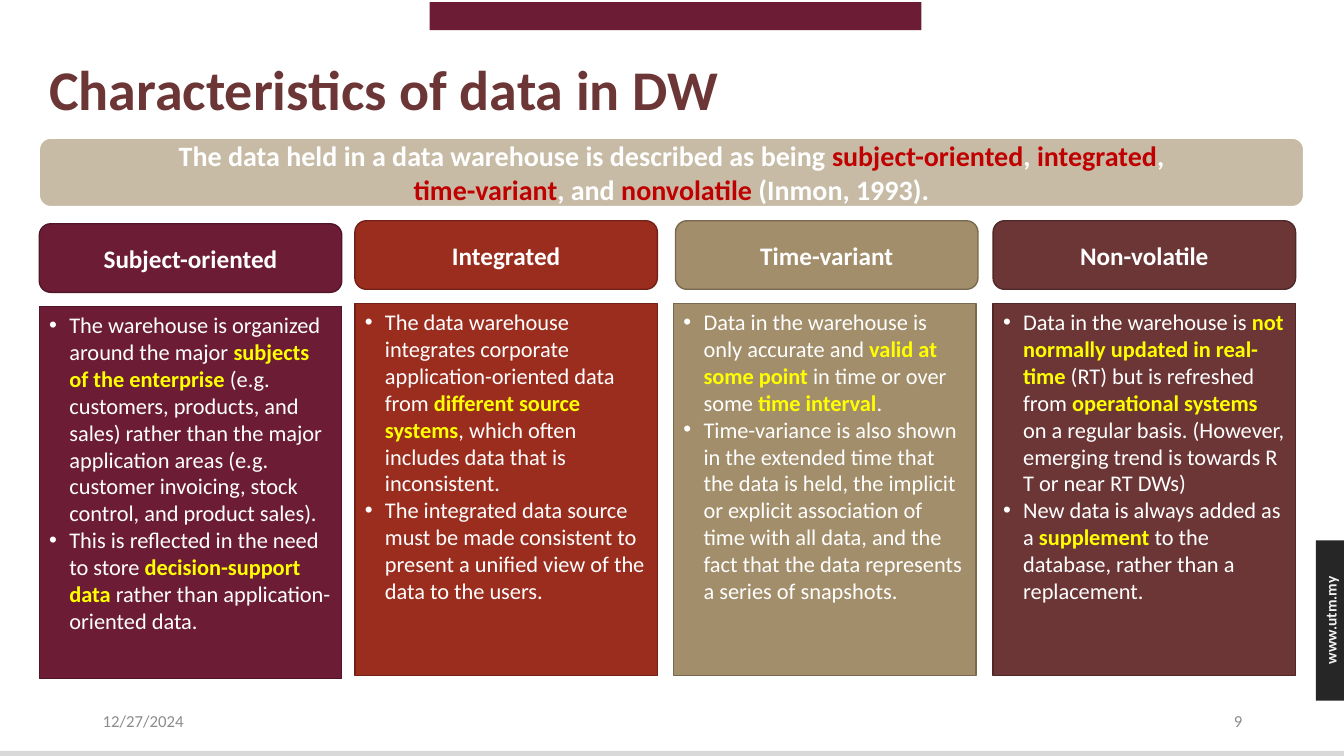
from lxml import etree
from pptx import Presentation
from pptx.dml.color import RGBColor
from pptx.enum.shapes import MSO_SHAPE
from pptx.enum.text import MSO_ANCHOR, PP_ALIGN
from pptx.oxml.ns import qn
from pptx.util import Inches, Pt

WHITE = RGBColor(0xFF, 0xFF, 0xFF)
YELLOW = RGBColor(0xFF, 0xFF, 0x00)
RED = RGBColor(0xC0, 0x00, 0x00)
MAROON = RGBColor(0x6C, 0x1D, 0x35)
MAROON_EDGE = RGBColor(0x50, 0x15, 0x27)
RUST = RGBColor(0x9B, 0x2D, 0x1F)
RUST_EDGE = RGBColor(0x73, 0x21, 0x17)
SAND = RGBColor(0xA2, 0x8E, 0x6A)
SAND_EDGE = RGBColor(0x78, 0x69, 0x4E)
BROWN = RGBColor(0x6C, 0x36, 0x36)
BROWN_EDGE = RGBColor(0x50, 0x28, 0x28)
BEIGE = RGBColor(0xC7, 0xBB, 0xA6)
LIGHT_GRAY = RGBColor(0xD9, 0xD9, 0xD9)
GRAY = RGBColor(0x8C, 0x8C, 0x8C)
DARK = RGBColor(0x26, 0x26, 0x26)
PALE = RGBColor(0xF2, 0xF2, 0xF2)

prs = Presentation()
prs.slide_width = Inches(13.33)
prs.slide_height = Inches(7.5)
s = prs.slides.add_slide(prs.slide_layouts[6])


def add_box(kind, left, top, width, height, fill, edge=None):
    sp = s.shapes.add_shape(kind, Inches(left), Inches(top), Inches(width), Inches(height))
    sp.shadow.inherit = False
    sp.fill.solid()
    sp.fill.fore_color.rgb = fill
    if edge is None:
        sp.line.fill.background()
    else:
        sp.line.color.rgb = edge
        sp.line.width = Pt(1)
    return sp


def write(sp, paragraphs, size, color, bold=False, align=PP_ALIGN.LEFT,
          anchor=MSO_ANCHOR.MIDDLE, accent=YELLOW, bullets=False):
    tf = sp.text_frame
    tf.word_wrap = True
    tf.vertical_anchor = anchor
    for i, text in enumerate(paragraphs):
        p = tf.paragraphs[0] if i == 0 else tf.add_paragraph()
        p.alignment = align
        if bullets:
            pPr = p._p.get_or_add_pPr()
            pPr.set("marL", str(Inches(0.2)))
            pPr.set("indent", str(-Inches(0.2)))
            etree.SubElement(pPr, qn("a:buFont")).set("typeface", "Arial")
            etree.SubElement(pPr, qn("a:buChar")).set("char", "•")
        for j, part in enumerate(text.split("*")):
            if part:
                r = p.add_run()
                r.text = part
                r.font.name = "Calibri"
                r.font.size = Pt(size)
                r.font.bold = bold or j % 2 == 1
                r.font.color.rgb = accent if j % 2 else color


add_box(MSO_SHAPE.RECTANGLE, 4.26, 0.02, 4.88, 0.28, MAROON)
add_box(MSO_SHAPE.RECTANGLE, 0, 7.45, 13.33, 0.05, LIGHT_GRAY)
add_box(MSO_SHAPE.RECTANGLE, 13.05, 5.36, 0.28, 1.59, DARK)

labels = [
    ("www.utm.my", 12.44, 6.01, 1.51, 0.29, 11, PALE, True, PP_ALIGN.CENTER, 270),
    ("Characteristics of data in DW", 0.39, 0.15, 9.96, 1.45, 40, BROWN, True, PP_ALIGN.LEFT, 0),
    ("12/27/2024", 0.92, 6.95, 3, 0.4, 12, GRAY, False, PP_ALIGN.LEFT, 0),
    ("9", 9.42, 6.95, 3, 0.4, 12, GRAY, False, PP_ALIGN.RIGHT, 0),
]
for text, left, top, width, height, size, color, bold, align, rotation in labels:
    sp = s.shapes.add_textbox(Inches(left), Inches(top), Inches(width), Inches(height))
    sp.rotation = rotation
    write(sp, [text], size, color, bold, align)

columns = [
    ("Subject-oriented", 0.39, 0.39, 2.22, MAROON, MAROON_EDGE, [
        "The warehouse is organized around the major *subjects of the enterprise *(e.g. customers, "
        "products, and sales) rather than the major application areas (e.g. customer invoicing, "
        "stock control, and product sales).",
        "This is reflected in the need to store *decision-support data *rather than "
        "application-oriented data.",
    ]),
    ("Integrated", 3.52, 3.52, 2.19, RUST, RUST_EDGE, [
        "The data warehouse integrates corporate application-oriented data from "
        "*different source systems*, which often includes data that is inconsistent.",
        "The integrated data source must be made consistent to present a unified view of the "
        "data to the users.",
    ]),
    ("Time-variant", 6.7, 6.68, 2.19, SAND, SAND_EDGE, [
        "Data in the warehouse is only accurate and *valid at some point *in time or over some "
        "*time interval*.",
        "Time-variance is also shown in the extended time that the data is held, the implicit or "
        "explicit association of time with all data, and the fact that the data represents a "
        "series of snapshots.",
    ]),
    ("Non-volatile", 9.85, 9.85, 2.19, BROWN, BROWN_EDGE, [
        "Data in the warehouse is *not normally updated in real-time* (RT) but is refreshed from "
        "*operational systems *on a regular basis. (However, emerging trend is towards R T or "
        "near RT DWs)",
        "New data is always added as a *supplement* to the database, rather than a replacement.",
    ]),
]
for heading, head_left, body_left, top, fill, edge, points in columns:
    head = add_box(MSO_SHAPE.ROUNDED_RECTANGLE, head_left, top, 3, 0.68, fill, edge)
    write(head, [heading], 18, WHITE, True, PP_ALIGN.CENTER)
    body = add_box(MSO_SHAPE.ROUNDED_RECTANGLE, body_left, top + 0.82, 3, 3.69, fill, edge)
    body.adjustments[0] = 0
    write(body, points, 16, WHITE, anchor=MSO_ANCHOR.TOP, bullets=True)

banner = add_box(MSO_SHAPE.ROUNDED_RECTANGLE, 0.39, 1.37, 12.54, 0.68, BEIGE, WHITE)
write(banner, [
    "The data held in a data warehouse is described as being *subject-oriented*, *integrated*,",
    "*time-variant*, and *nonvolatile* (Inmon, 1993).",
], 20, WHITE, True, PP_ALIGN.CENTER, accent=RED)

prs.save("out.pptx")
